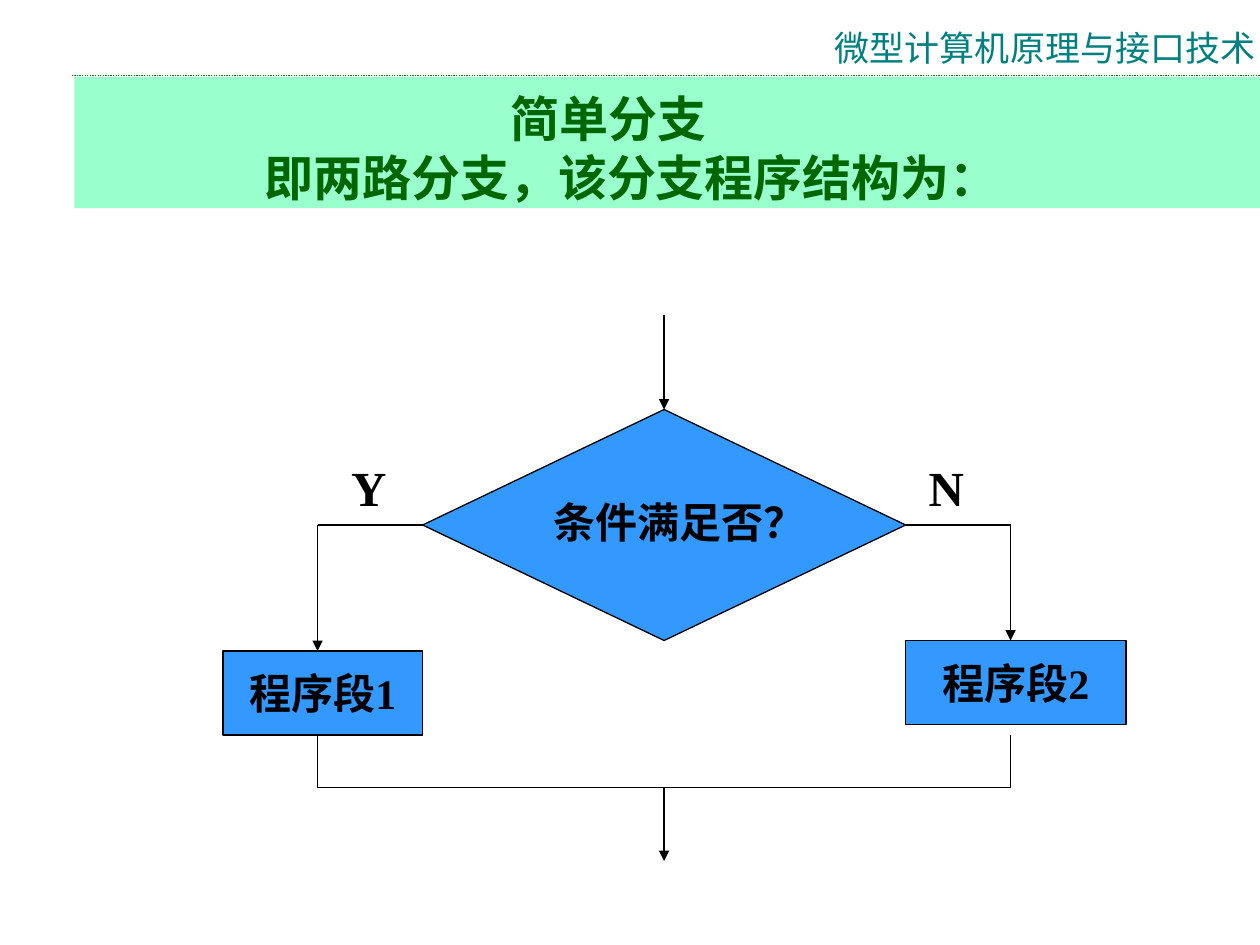
"""Build a slide with the flow chart of a simple two-way branch."""
from lxml import etree
from pptx import Presentation
from pptx.dml.color import RGBColor
from pptx.enum.dml import MSO_LINE
from pptx.enum.shapes import MSO_CONNECTOR, MSO_SHAPE
from pptx.enum.text import MSO_ANCHOR, MSO_AUTO_SIZE, PP_ALIGN
from pptx.oxml.ns import qn
from pptx.util import Pt

LINE = MSO_CONNECTOR.STRAIGHT
DOT = MSO_LINE.ROUND_DOT
RECT = MSO_SHAPE.RECTANGLE
RHOMB = MSO_SHAPE.FLOWCHART_DECISION
MID, TOP = MSO_ANCHOR.MIDDLE, MSO_ANCHOR.TOP
LEFT, MIDDLE = PP_ALIGN.LEFT, PP_ALIGN.CENTER
FIXED = MSO_AUTO_SIZE.NONE


def color(code):
    return RGBColor.from_string(code)


def write(frame, rows, size=24, ink="000000", bold=True, font="Times New Roman",
          align=MIDDLE, anchor=MID, wrap=False, pad=(7.2, 3.6), lead=None,
          dents=None):
    frame.auto_size = FIXED
    frame.word_wrap = wrap
    frame.vertical_anchor = anchor
    frame.margin_left = frame.margin_right = Pt(pad[0])
    frame.margin_top = frame.margin_bottom = Pt(pad[1])
    for i, row in enumerate(rows):
        para = frame.paragraphs[0] if i == 0 else frame.add_paragraph()
        para.alignment = align
        para.space_before = Pt(0)
        if lead:
            para.line_spacing = Pt(lead)
        if dents:
            props = para._p.get_or_add_pPr()
            props.set("marL", str(Pt(dents[i])))
            props.set("indent", "0")
        run = para.add_run()
        run.text = row
        run.font.size = Pt(size)
        run.font.bold = bold
        run.font.name = font
        run.font.color.rgb = color(ink)
        east = etree.SubElement(run._r.get_or_add_rPr(), qn("a:ea"))
        east.set("typeface", "Noto Sans CJK SC")


class Chart:
    fill = "3399FF"
    ink = "000000"
    width = 0.75

    def __init__(self, slide):
        self.slide = slide
        self.shapes = slide.shapes

    def title(self, rows, box, fill, **style):
        head = self.shapes.title
        head.left, head.top, head.width, head.height = map(Pt, box)
        head.fill.solid()
        head.fill.fore_color.rgb = color(fill)
        write(head.text_frame, rows, **style)

    def label(self, text, box, **style):
        area = self.shapes.add_textbox(*map(Pt, box))
        write(area.text_frame, [text], **style)

    def node(self, kind, box, text=None):
        shape = self.shapes.add_shape(kind, *map(Pt, box))
        shape.shadow.inherit = False
        shape.fill.solid()
        shape.fill.fore_color.rgb = color(self.fill)
        shape.line.color.rgb = color(self.ink)
        shape.line.width = Pt(self.width)
        if text:
            write(shape.text_frame, [text])
        return shape

    def line(self, x1, y1, x2, y2, arrow=False, ink=None, dash=None,
             start=None, end=None):
        link = self.shapes.add_connector(LINE, *map(Pt, (x1, y1, x2, y2)))
        link.line.color.rgb = color(ink or self.ink)
        link.line.width = Pt(self.width)
        if dash:
            link.line.dash_style = dash
        if arrow:
            tail = etree.SubElement(link.line._get_or_add_ln(), qn("a:tailEnd"))
            tail.set("type", "triangle")
        etree.SubElement(link._element.spPr, qn("a:effectLst"))
        if start:
            link.begin_connect(*start)
        if end:
            link.end_connect(*end)


def main():
    deck = Presentation()
    deck.slide_width, deck.slide_height = Pt(720), Pt(540)
    chart = Chart(deck.slides.add_slide(deck.slide_layouts[5]))

    chart.title(["简单分支", "即两路分支，该分支程序结构为："],
                (42.5, 44, 677.5, 75), "99FFCC", size=28, ink="006600",
                align=LEFT, anchor=TOP, wrap=True, pad=(7.2, 6.5), lead=33.7,
                dents=(242, 101.5))
    chart.label("微型计算机原理与接口技术", (477, 15.3, 240, 29), size=20,
                ink="008080", bold=False, font="Noto Sans CJK SC",
                align=LEFT, anchor=TOP, pad=(0, 0))
    chart.line(41, 43.2, 720, 43.2, ink="008000", dash=DOT)

    west, axis, east = 181.5, 379.5, 577.5
    level, base, join = 300, 420, 450
    test = chart.node(RHOMB, (241.5, 234, 276, 132))
    chart.label("条件满足否？", (289.5, 280, 198, 36))
    chart.line(axis, 180, axis, 234, arrow=True, end=(test, 0))

    sides = (("Y", 193.5, west, 241.5, 1, "程序段1", (127.5, 372, 114, 48)),
             ("N", 523.5, east, 517.5, 3, "程序段2", (517.5, 366, 126, 48)))
    for mark, left, x, tip, site, name, box in sides:
        chart.line(tip, level, x, level, start=(test, site))
        chart.node(RECT, box, name)
        chart.line(x, level, x, box[1], arrow=True)
        chart.line(x, base, x, join)
        chart.label(mark, (left, 258, 34.5, 41), size=28)

    chart.line(west, join, east, join)
    chart.line(axis, join, axis, 492, arrow=True)
    deck.save("out.pptx")


if __name__ == "__main__":
    main()
